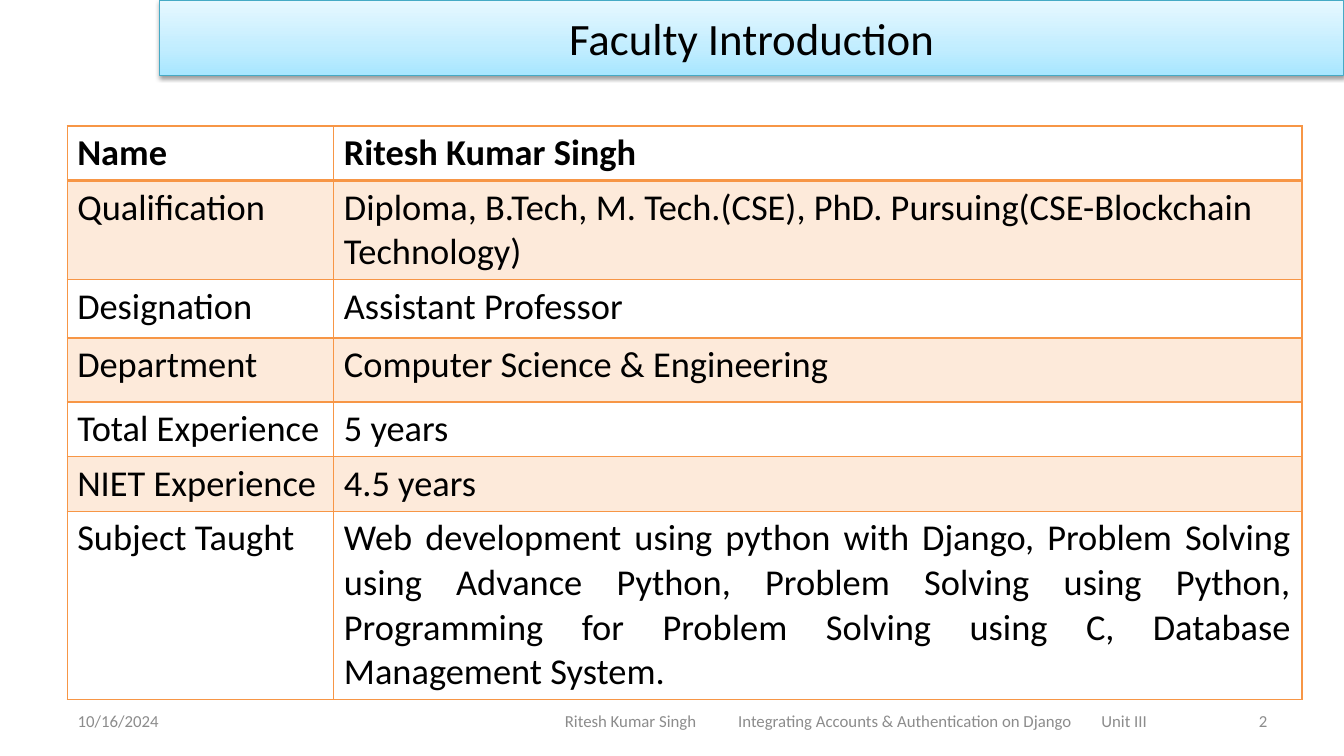
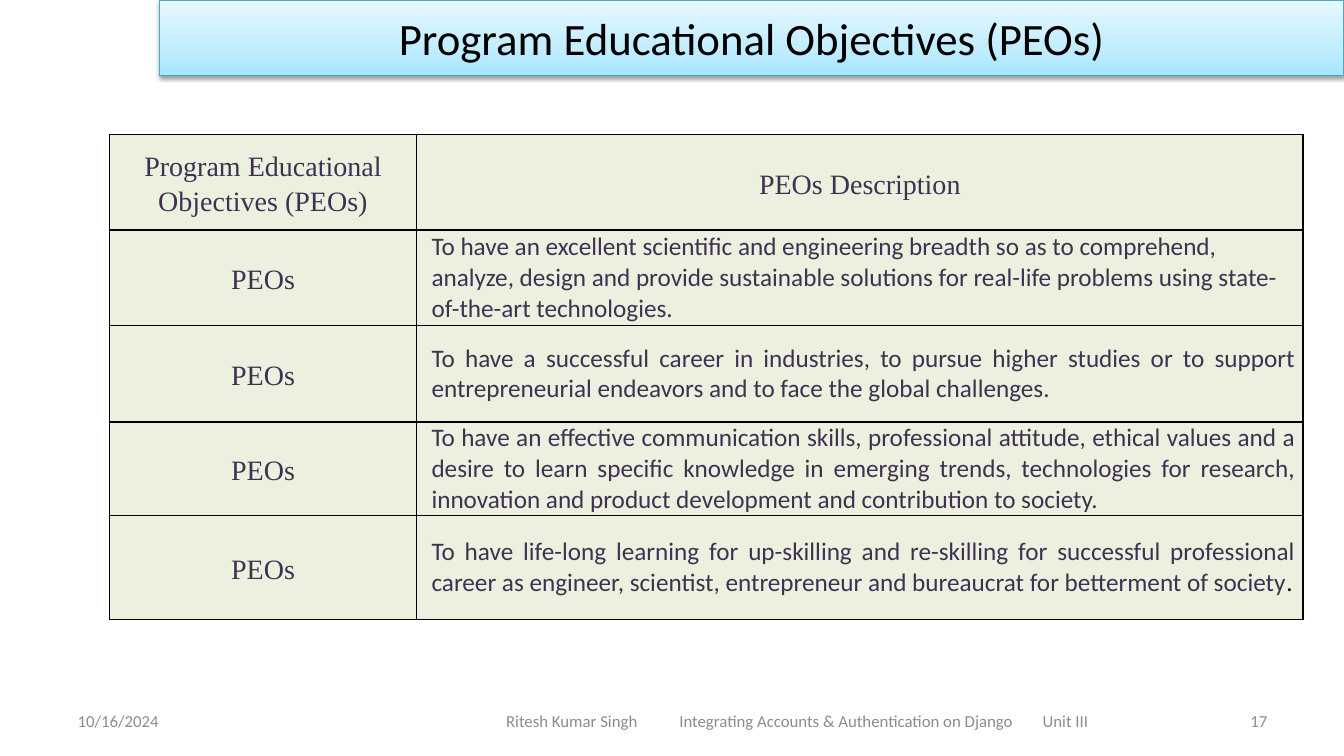
from lxml import etree
from pptx import Presentation
from pptx.dml.color import RGBColor
from pptx.enum.shapes import MSO_SHAPE
from pptx.enum.text import MSO_ANCHOR, PP_ALIGN
from pptx.oxml import parse_xml
from pptx.oxml.ns import nsdecls, qn
from pptx.util import Pt

PX = 9525
RECT = MSO_SHAPE.RECTANGLE
MIDDLE, TOP = MSO_ANCHOR.MIDDLE, MSO_ANCHOR.TOP
LEFT, CENTER = PP_ALIGN.LEFT, PP_ALIGN.CENTER
RIGHT, JUSTIFY = PP_ALIGN.RIGHT, PP_ALIGN.JUSTIFY

BLACK = RGBColor(0x00, 0x00, 0x00)
GREY = RGBColor(0x8C, 0x8C, 0x8C)
TEAL = RGBColor(0x46, 0xAA, 0xC5)
ORANGE = RGBColor(0xF7, 0x96, 0x46)
PEACH = RGBColor(0xFD, 0xEA, 0xDA)
SAGE = RGBColor(0xEB, 0xF1, 0xDE)
PURPLE = RGBColor(0x40, 0x31, 0x52)
SKY_STOPS = (
    (0, RGBColor(0xA7, 0xE6, 0xFF)),
    (35, RGBColor(0xC1, 0xED, 0xFF)),
    (100, RGBColor(0xE7, 0xF8, 0xFF)),
)

SANS, SERIF = "Calibri", "Times New Roman"
DATE = "10/16/2024"
FOOTER = "Ritesh Kumar Singh\tIntegrating Accounts & Authentication on Django\tUnit III"
FOOTER_TABS = (165, 511)

FACULTY = (
    ("Name", "Ritesh Kumar Singh"),
    ("Qualification", "Diploma, B.Tech, M. Tech.(CSE), PhD. Pursuing(CSE-Blockchain Technology)"),
    ("Designation", "Assistant Professor"),
    ("Department", "Computer Science & Engineering"),
    ("Total Experience", "5 years"),
    ("NIET Experience", "4.5 years"),
    ("Subject Taught",
     "Web development using python with Django, Problem Solving using Advance Python, "
     "Problem Solving using Python, Programming for Problem Solving using C, "
     "Database Management System."),
)
OBJECTIVES = (
    "To have an excellent scientific and engineering breadth so as to comprehend, analyze, "
    "design and provide sustainable solutions for real-life problems using "
    "state-of-the-art technologies.",
    "To have a successful career in industries, to pursue higher studies or to support "
    "entrepreneurial endeavors and to face the global challenges.",
    "To have an effective communication skills, professional attitude, ethical values and a "
    "desire to learn specific knowledge in emerging trends, technologies for research, "
    "innovation and product development and contribution to society.",
    "To have life-long learning for up-skilling and re-skilling for successful professional "
    "career as engineer, scientist, entrepreneur and bureaucrat for betterment of society",
)


class Deck:
    """Holds the shared style and the slide being built."""

    def __init__(self):
        self.prs = Presentation()
        self.prs.slide_width, self.prs.slide_height = 1280 * PX, 720 * PX
        self.slide = None

    def new_slide(self, title, number, footer_left):
        self.slide = self.prs.slides.add_slide(self.prs.slide_layouts[6])
        self.footer(64, 299, DATE)
        p = self.footer(footer_left, 580, FOOTER, inset=0)
        tabs = etree.SubElement(p._p.get_or_add_pPr(), qn("a:tabLst"))
        for pos in FOOTER_TABS:
            etree.SubElement(tabs, qn("a:tab"), pos=str(pos * PX), algn="l")
        self.footer(918, 299, number, RIGHT)
        self.banner(title)

    def set_text(self, tf, text, size, color, font=SANS, align=LEFT, bold=False):
        tf.text = text
        p = tf.paragraphs[0]
        p.alignment = align
        self.style(p.runs[0], size, color, font, bold)
        return p

    def style(self, r, size, color, font=SANS, bold=False):
        r.font.size, r.font.name, r.font.bold = Pt(size), font, bold
        r.font.color.rgb = color

    def footer(self, left, width, text, align=LEFT, inset=10):
        box = self.slide.shapes.add_textbox(left * PX, 667 * PX, width * PX, 38 * PX)
        tf = box.text_frame
        tf.word_wrap, tf.vertical_anchor = True, MIDDLE
        tf.margin_left = tf.margin_right = inset * PX
        return self.set_text(tf, text, 12, GREY, align=align)

    def banner(self, title):
        sp = self.slide.shapes.add_shape(RECT, 152 * PX, 0, 1128 * PX, 72 * PX)
        sp.line.color.rgb, sp.line.width = TEAL, Pt(0.75)
        sp.shadow.inherit = False
        stops = "".join(
            f'<a:gs pos="{pos * 1000}"><a:srgbClr val="{color}"/></a:gs>'
            for pos, color in SKY_STOPS)
        spPr = sp._element.spPr
        spPr.find(qn("a:prstGeom")).addnext(parse_xml(
            f'<a:gradFill {nsdecls("a")} rotWithShape="1"><a:gsLst>{stops}</a:gsLst>'
            '<a:lin ang="16200000" scaled="0"/></a:gradFill>'))
        spPr.find(qn("a:effectLst")).append(parse_xml(
            f'<a:outerShdw {nsdecls("a")} blurRad="{Pt(3.1)}" dist="{Pt(1.6)}" '
            'dir="5400000" rotWithShape="0"><a:srgbClr val="000000">'
            '<a:alpha val="38000"/></a:srgbClr></a:outerShdw>'))
        sp.text_frame.vertical_anchor = MIDDLE
        self.set_text(sp.text_frame, title, 32, BLACK, align=CENTER)

    def table(self, left, top, widths, heights):
        frame = self.slide.shapes.add_table(
            len(heights), len(widths), left * PX, top * PX,
            sum(widths) * PX, sum(heights) * PX)
        table = frame.table
        table.first_row = table.horz_banding = False
        for column, width in zip(table.columns, widths):
            column.width = width * PX
        for row, height in zip(table.rows, heights):
            row.height = height * PX
        return table

    def cell(self, cell, fill, border, top=1, bottom=1, anchor=TOP):
        tcPr = cell._tc.get_or_add_tcPr()
        for side, width in (("L", 1), ("R", 1), ("T", top), ("B", bottom)):
            tcPr.append(parse_xml(
                f'<a:ln{side} {nsdecls("a")} w="{Pt(width)}"><a:solidFill>'
                f'<a:srgbClr val="{border}"/></a:solidFill></a:ln{side}>'))
        if fill is None:
            cell.fill.background()
        else:
            cell.fill.solid()
            cell.fill.fore_color.rgb = fill
        cell.vertical_anchor = anchor

    def faculty_table(self):
        table = self.table(64, 120, (254, 922), (52, 94, 56, 61, 52, 52, 179))
        last = len(FACULTY) - 1
        for i, row in enumerate(FACULTY):
            for j, text in enumerate(row):
                cell = table.cell(i, j)
                self.cell(cell, PEACH if i % 2 else None, ORANGE,
                          top=2 if i == 1 else 1, bottom=2 if i == 0 else 1)
                align = JUSTIFY if (i, j) == (last, 1) else LEFT
                self.set_text(cell.text_frame, text, 26, BLACK, align=align, bold=i == 0)

    def objectives_table(self):
        table = self.table(104, 128, (293, 844), (91, 91, 92, 89, 99))
        rows = [("Program Educational Objectives (PEOs)", "PEOs Description")]
        rows += [("PEOs", text) for text in OBJECTIVES]
        for i, row in enumerate(rows):
            for j, text in enumerate(row):
                cell = table.cell(i, j)
                described = i > 0 and j == 1
                self.cell(cell, SAGE, BLACK, anchor=MIDDLE)
                cell.margin_top = cell.margin_bottom = 0
                cell.margin_left = (14 if described else 7) * PX
                cell.margin_right = 7 * PX
                if described:
                    p = self.set_text(cell.text_frame, text, 18, PURPLE,
                                      align=LEFT if i == 1 else JUSTIFY)
                else:
                    p = self.set_text(cell.text_frame, text, 20, PURPLE, SERIF, CENTER)
                    p.line_spacing = 1.15
        r = p.add_run()
        r.text = "."
        self.style(r, 18, BLACK)


def main():
    deck = Deck()
    deck.new_slide("Faculty Introduction", "2", 538)
    deck.faculty_table()
    deck.new_slide("Program Educational Objectives (PEOs)", "17", 482)
    deck.objectives_table()
    deck.prs.save("out.pptx")


if __name__ == "__main__":
    main()
